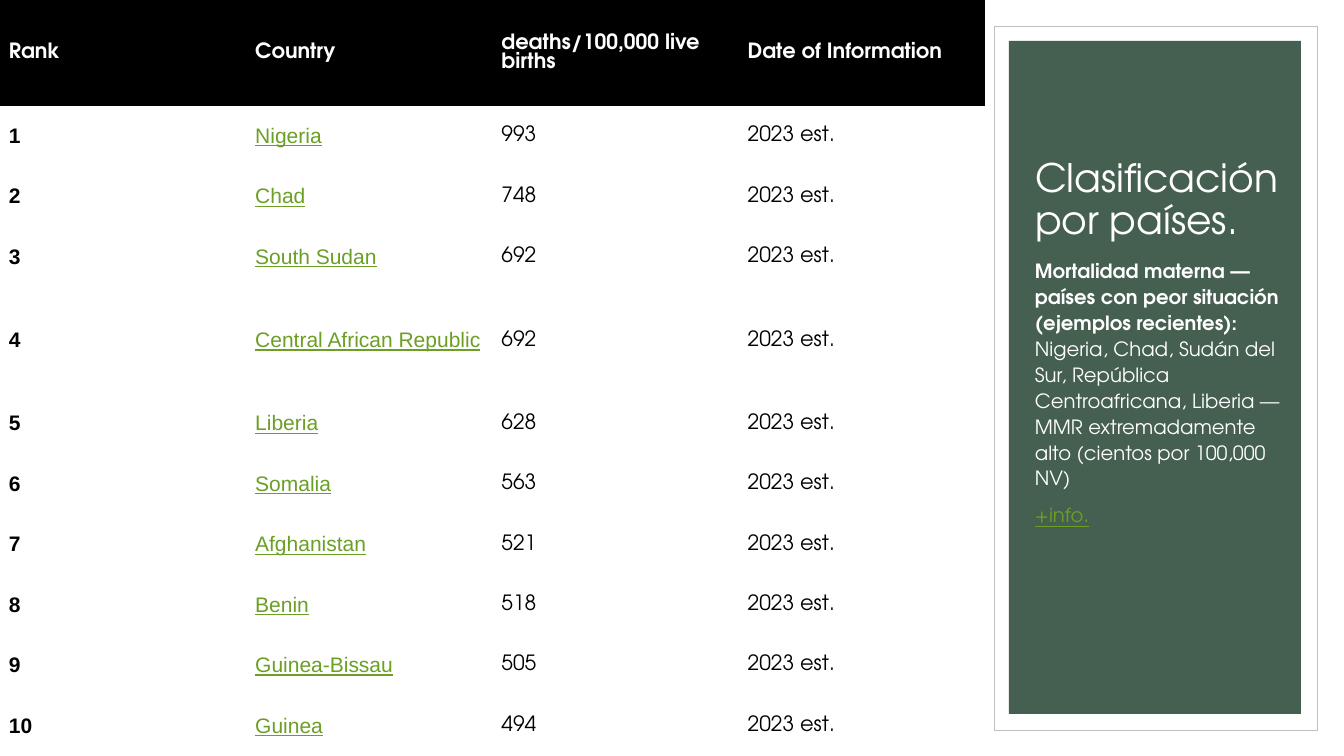
from lxml.etree import SubElement
from pptx import Presentation
from pptx.dml.color import RGBColor
from pptx.enum.shapes import MSO_SHAPE
from pptx.enum.text import MSO_ANCHOR, PP_ALIGN
from pptx.oxml.ns import qn
from pptx.util import Emu, Pt

WHITE = RGBColor(0xFF, 0xFF, 0xFF)
BLACK = RGBColor(0x00, 0x00, 0x00)
GREEN = RGBColor(0x45, 0x5F, 0x51)
LINK = RGBColor(0x6B, 0x9F, 0x25)
GREY = RGBColor(0xBF, 0xBF, 0xBF)
SANS = "TeX Gyre Adventor"
WIDE, HIGH = 1344, 756
TALL = 106


def px(num):
    return Emu(round(num * 12192000 / WIDE))


def add_run(para, text, size, color, font=SANS, bold=False, under=False):
    run = para.add_run()
    run.text = text
    run.font.size = Pt(size)
    run.font.name = font
    run.font.bold = bold
    run.font.underline = under
    run.font.color.rgb = color


deck = Presentation()
deck.slide_width, deck.slide_height = px(WIDE), px(HIGH)
slide = deck.slides.add_slide(deck.slide_layouts[5])

# Side panel: white frame, green field
panels = [((994, 26, 323, 704), WHITE, GREY), ((1009, 41, 292, 673), GREEN, None)]
for box, fill, edge in panels:
    panel = slide.shapes.add_shape(MSO_SHAPE.RECTANGLE, *map(px, box))
    panel.shadow.inherit = False
    panel.fill.solid()
    panel.fill.fore_color.rgb = fill
    if edge:
        panel.line.color.rgb = edge
        panel.line.width = Pt(0.5)
    else:
        panel.line.fill.background()

# Title, lifted above the panel
title = slide.shapes.title
slide.shapes._spTree.append(title._element)
title.left, title.top, title.width, title.height = map(px, (1025, 67, 268, 181))
title.text_frame.vertical_anchor = MSO_ANCHOR.BOTTOM
title.text_frame.word_wrap = True
head = title.text_frame.paragraphs[0]
head.alignment = PP_ALIGN.LEFT
head.line_spacing = 0.9
add_run(head, "Clasificación por países.", 28, WHITE)

# Summary
note = slide.shapes.add_textbox(*map(px, (1025, 252, 268, 386))).text_frame
note.word_wrap = True
main, more = note.paragraphs[0], note.add_paragraph()
for para in (main, more):
    para.line_spacing = 1.1
    para.space_before = Pt(8)
add_run(main, "Mortalidad materna — países con peor situación (ejemplos recientes): ",
        14, WHITE, bold=True)
add_run(main, "Nigeria, Chad, Sudán del Sur, República Centroafricana, Liberia — "
        "MMR extremadamente alto (cientos por 100,000 NV)", 14, WHITE)
add_run(more, "+info.", 14, LINK, under=True)

# Ranking table
heads = ["Rank", "Country", "deaths/100,000 live births", "Date of Information"]
rates = [("Nigeria", 993), ("Chad", 748), ("South Sudan", 692),
         ("Central African Republic", 692), ("Liberia", 628), ("Somalia", 563),
         ("Afghanistan", 521), ("Benin", 518), ("Guinea-Bissau", 505), ("Guinea", 494)]
rows = [heads] + [[str(rank), land, str(rate), "2023 est."]
                  for rank, (land, rate) in enumerate(rates, 1)]
looks = [dict(color=BLACK, font="Arial", bold=True),
         dict(color=LINK, font="Arial", under=True),
         dict(color=BLACK), dict(color=BLACK)]
table = slide.shapes.add_table(len(rows), len(heads), 0, 0, px(985), px(HIGH)).table
table.horz_banding = False
for col in table.columns:
    col.width = px(985 / len(heads))
for r, row in enumerate(rows):
    table.rows[r].height = px(TALL if r in (0, 4) else (HIGH - 2 * TALL) / 9)
    for c, text in enumerate(row):
        cell = table.cell(r, c)
        # Borders off; they must stand before the fill
        props = cell._tc.get_or_add_tcPr()
        for side in ("a:lnL", "a:lnR", "a:lnT", "a:lnB"):
            SubElement(SubElement(props, qn(side), w="0"), qn("a:noFill"))
        cell.fill.solid()
        cell.fill.fore_color.rgb = WHITE if r else BLACK
        cell.vertical_anchor = MSO_ANCHOR.MIDDLE
        cell.margin_left = cell.margin_right = px(9)
        cell.margin_top = cell.margin_bottom = px(4)
        look = looks[c] if r else dict(color=WHITE, bold=True)
        add_run(cell.text_frame.paragraphs[0], text, 15, **look)

deck.save("out.pptx")
